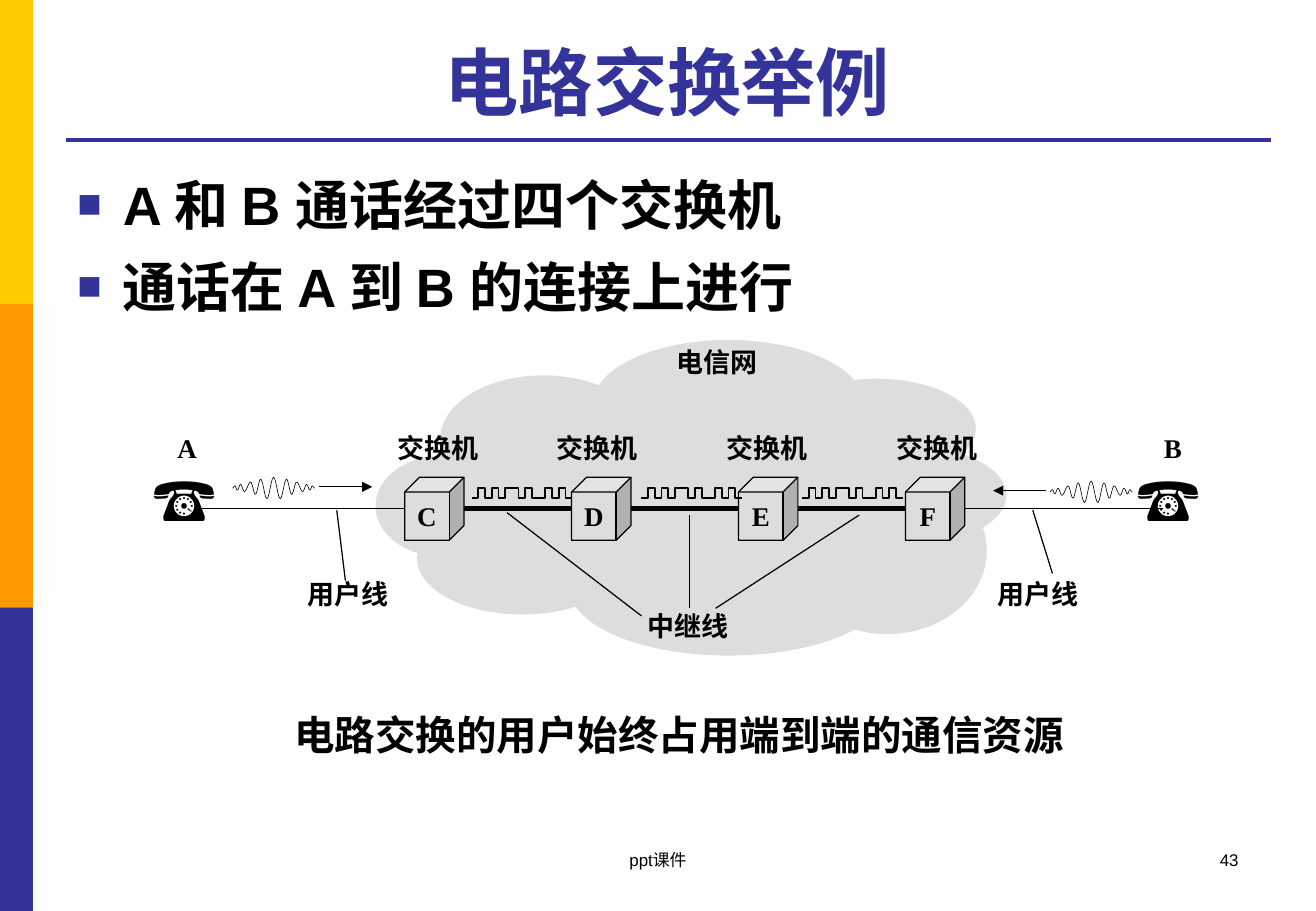
import math
import pptx
import pptx.util
import pptx.dml.color
import pptx.enum.shapes
import pptx.enum.text
import pptx.oxml
import pptx.oxml.ns
import lxml.etree

Cm = pptx.util.Cm
Pt = pptx.util.Pt
RGBColor = pptx.dml.color.RGBColor
SHAPE = pptx.enum.shapes.MSO_SHAPE
ALIGN = pptx.enum.text.PP_ALIGN
ANCHOR = pptx.enum.text.MSO_ANCHOR
qn = pptx.oxml.ns.qn

YELLOW = RGBColor(0xFF, 0xCC, 0x00)
ORANGE = RGBColor(0xFF, 0x99, 0x00)
INDIGO = RGBColor(0x33, 0x33, 0x99)
GREY = RGBColor(0xDD, 0xDD, 0xDD)
BLACK = RGBColor(0, 0, 0)

CLOUD_PUFFS = [
    (9.45, 0, 5.66, 2.67), (6.25, 0.74, 4.32, 2.67), (4.9, 2.41, 2.87, 2.13),
    (5.77, 3.4, 4.39, 2.34), (8.97, 3.81, 6.63, 2.79), (13.28, 0.81, 4.17, 2.08),
    (13.92, 2.21, 4.17, 2.08), (13.51, 2.67, 4.17, 3.48), (7.29, 1.6, 8.56, 3.48),
]
NETWORK_LABELS = [
    ("A", 0.51, 1.78, 0.91), ("B", 21.13, 1.78, 0.91), ("电信网", 10.95, 0, 2.24),
    ("交换机", 5.11, 1.78, 2.24), ("交换机", 8.43, 1.78, 2.24),
    ("交换机", 11.99, 1.78, 2.24), ("交换机", 15.54, 1.78, 2.24),
    ("中继线", 10.34, 5.51, 2.24), ("用户线", 3.23, 4.85, 2.24),
    ("用户线", 17.65, 4.85, 2.24),
]
SUBSCRIBER_LINES = [(1.27, 3.53, 5.71, 3.53), (16.61, 3.53, 21.36, 3.53)]
LEADERS = [
    (7.65, 3.61, 10.46, 5.77), (11.46, 3.66, 11.46, 5.61), (15.01, 3.66, 12.01, 5.61),
    (4.09, 3.56, 4.27, 5.03), (18.64, 3.56, 19.05, 4.88),
]
SIGNAL_ARROWS = [(3.71, 3.07, 4.83, 3.07), (18.92, 3.15, 17.81, 3.15)]
HALF_BURST = [
    (-0.86, 0), (-0.81, -0.05), (-0.76, 0.04), (-0.69, -0.08), (-0.61, 0.07),
    (-0.48, -0.13), (-0.38, 0.13), (-0.27, -0.19), (-0.14, 0.22), (0, -0.23),
]
PULSE_EDGES = [1, 2, 3, 4, 5, 7, 8, 9, 11, 12, 13, 14]
PULSE_END = 15
PULSE_UNIT = 0.14
PULSE_HEIGHT = 0.21


def write_text(frame, text, size=16, color=BLACK, font="Times New Roman", bold=True,
               align=ALIGN.LEFT, anchor=ANCHOR.TOP, wrap=False):
    frame.word_wrap = wrap
    frame.vertical_anchor = anchor
    for index, line in enumerate(text.split("\n")):
        paragraph = frame.paragraphs[0] if index == 0 else frame.add_paragraph()
        paragraph.alignment = align
        run = paragraph.add_run()
        run.text = line
        run.font.size = Pt(size)
        run.font.name = font
        run.font.bold = bold
        run.font.color.rgb = color


def add_text(slide, box, text, **style):
    shape = slide.shapes.add_textbox(*map(Cm, box))
    write_text(shape.text_frame, text, **style)
    return shape


def add_filled(slide, kind, box, color):
    shape = slide.shapes.add_shape(kind, *map(Cm, box))
    shape.shadow.inherit = False
    shape.fill.solid()
    shape.fill.fore_color.rgb = color
    shape.line.fill.background()
    return shape


def add_line(slide, ends, color=BLACK, width=0.75, arrow=False):
    connector = slide.shapes.add_connector(
        pptx.enum.shapes.MSO_CONNECTOR.STRAIGHT, *map(Cm, ends))
    connector.line.color.rgb = color
    connector.line.width = Pt(width)
    if arrow:
        outline = connector.line._get_or_add_ln()
        lxml.etree.SubElement(outline, qn("a:tailEnd"), type="triangle")
    lxml.etree.SubElement(connector._element.spPr, qn("a:effectLst"))


def add_trace(slide, points, width):
    corners = [(Cm(x), Cm(y)) for x, y in points]
    builder = slide.shapes.build_freeform(*corners[0], scale=1.0)
    builder.add_line_segments(corners[1:], close=False)
    shape = builder.convert_to_shape()
    shape.shadow.inherit = False
    shape.fill.background()
    shape.line.color.rgb = BLACK
    shape.line.width = Pt(width)


def add_voice_wave(slide, center, middle, steps=6):
    peaks = HALF_BURST + [(-x, y) for x, y in reversed(HALF_BURST[:-1])]
    points = []
    for (x1, y1), (x2, y2) in zip(peaks, peaks[1:]):
        for step in range(steps):
            part = step / steps
            ease = (1 - math.cos(math.pi * part)) / 2
            points.append((center + x1 + (x2 - x1) * part, middle + y1 + (y2 - y1) * ease))
    points.append((center + peaks[-1][0], middle))
    add_trace(slide, points, 0.38)


def add_pulse_train(slide, left, top):
    low, high = top + PULSE_HEIGHT, top
    points = [(left, low)]
    for index, edge in enumerate(PULSE_EDGES):
        levels = (low, high) if index % 2 == 0 else (high, low)
        points += [(left + edge * PULSE_UNIT, level) for level in levels]
    points.append((left + PULSE_END * PULSE_UNIT, low))
    add_trace(slide, points, 1)


def draw_frame(slide, box):
    left, top, width, height = box
    stripe = height / 3
    for index, color in enumerate([YELLOW, ORANGE, INDIGO]):
        add_filled(slide, SHAPE.RECTANGLE, (left, top + index * stripe, 0.69, stripe), color)
    add_line(slide, (left + 1.37, top + 2.92, left + 26.57, top + 2.92), INDIGO, 2.25)
    add_text(slide, (left + 1.37, top + 0.53, 25.17, 2.21), "电路交换举例", size=44,
             color=INDIGO, font="Arial", align=ALIGN.CENTER, anchor=ANCHOR.BOTTOM, wrap=True)
    footer = dict(size=10, font="Arial", bold=False, wrap=True)
    add_text(slide, (left + 9.4, top + 17.65, 8.71, 1.27), "ppt课件",
             align=ALIGN.CENTER, **footer)
    add_text(slide, (left + 19.71, top + 17.65, 6.43, 1.27), "43",
             align=ALIGN.RIGHT, **footer)


def draw_bullets(slide, box, text):
    shape = add_text(slide, box, text, size=32, font="Arial", wrap=True)
    for index, paragraph in enumerate(shape.text_frame.paragraphs):
        properties = paragraph._p.get_or_add_pPr()
        properties.set("marL", str(Cm(0.95)))
        properties.set("indent", str(Cm(-0.95)))
        bullet_color = lxml.etree.SubElement(properties, qn("a:buClr"))
        lxml.etree.SubElement(bullet_color, qn("a:srgbClr"), val=str(INDIGO))
        lxml.etree.SubElement(properties, qn("a:buSzPct"), val="75000")
        lxml.etree.SubElement(properties, qn("a:buFont"), typeface="Arial")
        lxml.etree.SubElement(properties, qn("a:buChar"), char="■")
        paragraph.line_spacing = 1.1
        if index:
            paragraph.space_before = Pt(6)


def draw_network(slide, box):
    left, top = box[:2]

    def place(ends):
        x1, y1, x2, y2 = ends
        return left + x1, top + y1, left + x2, top + y2

    for x, y, width, height in CLOUD_PUFFS:
        add_filled(slide, SHAPE.OVAL, (left + x, top + y, width, height), GREY)
    add_line(slide, place((6.15, 3.53, 16.41, 3.53)), width=3)
    for x in (0, 20.57):
        add_text(slide, (left + x, top + 2.41, 2.03, 1.8), "☎", size=36, wrap=True)
    for ends in SUBSCRIBER_LINES + LEADERS:
        add_line(slide, place(ends))
    for index, name in enumerate("CDEF"):
        cube = add_filled(slide, SHAPE.CUBE,
                          (left + 5.51 + index * 3.49, top + 2.87, 1.24, 1.32), GREY)
        cube.line.color.rgb = BLACK
        cube.line.width = Pt(0.75)
        write_text(cube.text_frame, name, align=ALIGN.CENTER, anchor=ANCHOR.MIDDLE)
    for text, x, y, width in NETWORK_LABELS:
        add_text(slide, (left + x, top + y, width, 0.94), text)
    for center, middle in ((2.77, 3.1), (19.86, 3.18)):
        add_voice_wave(slide, left + center, top + middle)
    for ends in SIGNAL_ARROWS:
        add_line(slide, place(ends), arrow=True)
    for x in (6.91, 10.46, 13.82):
        add_pulse_train(slide, left + x, top + 3.1)


def main():
    presentation = pptx.Presentation()
    presentation.slide_width = Cm(27.51)
    presentation.slide_height = Cm(19.05)
    slide = presentation.slides.add_slide(presentation.slide_layouts[6])
    draw_frame(slide, (0, 0, 27.51, 19.05))
    draw_bullets(slide, (1.37, 3.33, 25.17, 3.7),
                 "A 和 B 通话经过四个交换机\n通话在 A 到 B 的连接上进行")
    draw_network(slide, (2.95, 7.11, 22.6, 6.6))
    add_text(slide, (3.45, 14.73, 21.49, 1.3), "电路交换的用户始终占用端到端的通信资源",
             size=24, font="Arial", align=ALIGN.CENTER, wrap=True)
    presentation.save("out.pptx")


if __name__ == "__main__":
    main()
